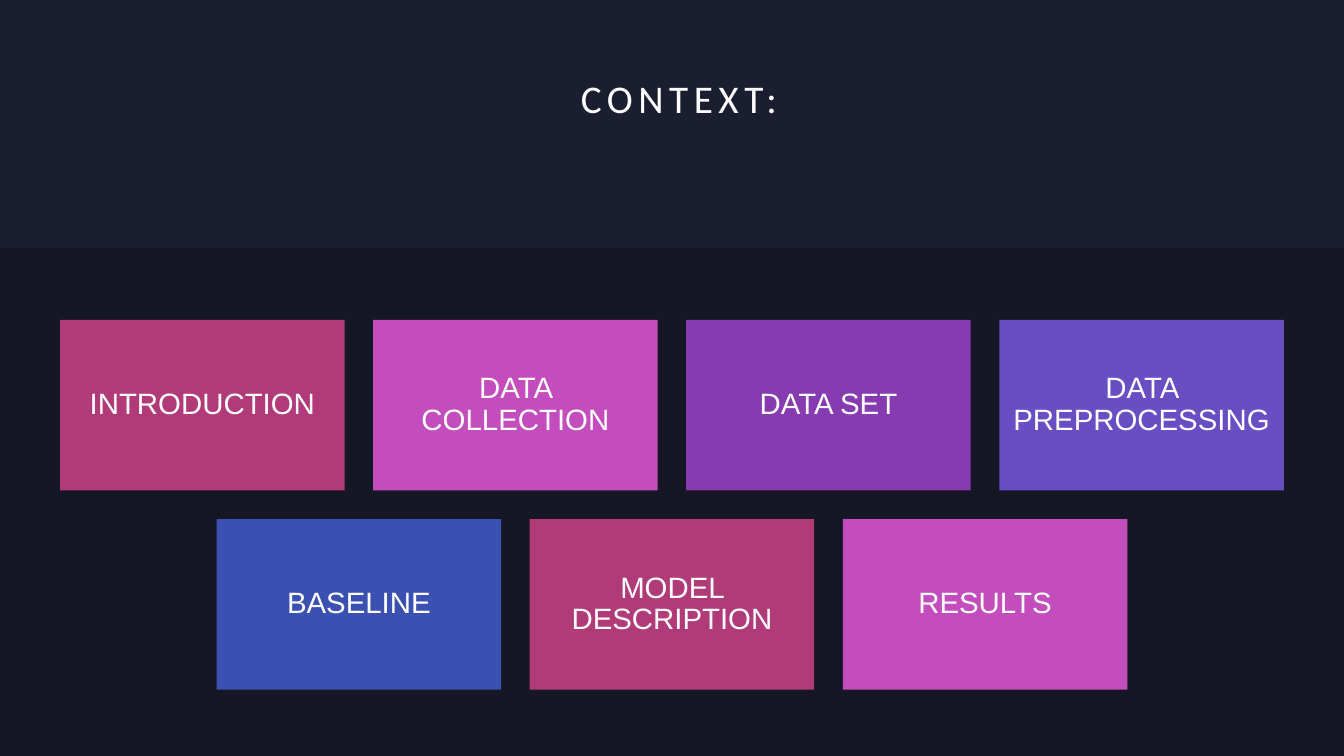
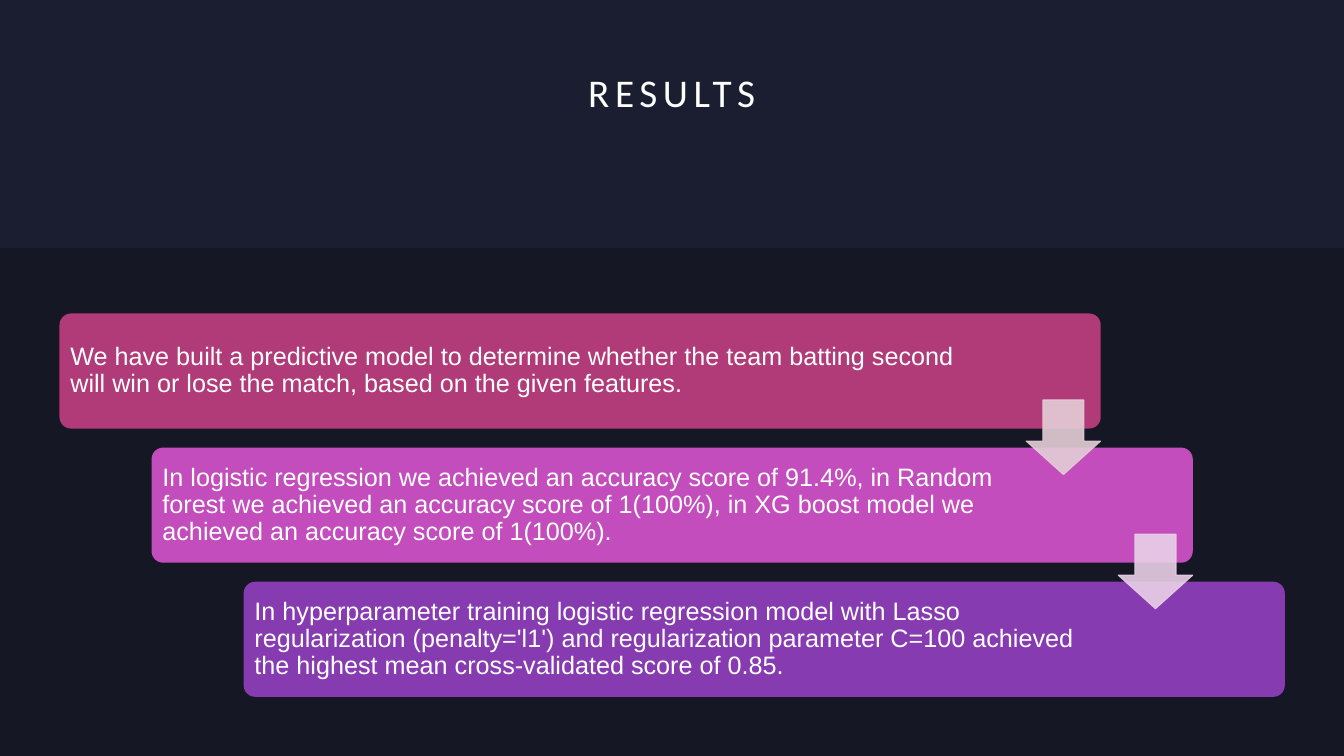
"""Build a two-slide dark deck: a tile overview and a staircase of results."""
from dataclasses import dataclass

from lxml import etree
from pptx import Presentation
from pptx import util as u
from pptx.dml.color import RGBColor
from pptx.enum import shapes, text
from pptx.oxml.ns import qn

WIDE, HIGH = 33.87, 19.05


@dataclass(frozen=True)
class Theme:
    back: str = "1B1D31"
    panel: str = "161724"
    ink: str = "FFFFFF"
    fills: tuple = ("B13B79", "C34DBC", "873BB1", "684DC3", "3B51B1")
    tints: tuple = ("E4CED7", "E9D0E7")
    head: str = "Calibri"
    body: str = "Arial"
    title: int = 28
    tile: int = 21
    bar: int = 18


class Deck:
    def __init__(self, theme):
        self.theme = theme
        self.prs = Presentation()
        self.prs.slide_width, self.prs.slide_height = u.Cm(WIDE), u.Cm(HIGH)
        self.paint(self.prs.slide_master.background.fill, theme.back)

    def paint(self, fill, color):
        fill.solid()
        fill.fore_color.rgb = RGBColor.from_string(color)

    def label(self, shape, words, face, size, align, pads):
        frame = shape.text_frame
        frame.text = words
        frame.word_wrap = True
        frame.auto_size = text.MSO_AUTO_SIZE.NONE
        frame.vertical_anchor = text.MSO_ANCHOR.MIDDLE
        (frame.margin_left, frame.margin_top,
         frame.margin_right, frame.margin_bottom) = map(u.Cm, pads)
        para = frame.paragraphs[0]
        para.alignment = align
        para.font.name, para.font.size = face, u.Pt(size)
        para.font.color.rgb = RGBColor.from_string(self.theme.ink)
        return para

    def slide(self, title, left, top):
        self.page = self.prs.slides.add_slide(self.prs.slide_layouts[5])
        head = self.page.shapes.title
        head.left, head.top = u.Cm(left), u.Cm(top)
        head.width, head.height = u.Cm(27.86), u.Cm(3.12)
        para = self.label(head, title, self.theme.head, self.theme.title,
                          text.PP_ALIGN.CENTER, (0, 0, 0, 1.2))
        para._p.pPr.find(qn("a:defRPr")).set("spc", "400")
        self.block("RECTANGLE", (0, 6.25, WIDE, HIGH - 6.25), self.theme.panel)

    def block(self, kind, box, color):
        shape = self.page.shapes.add_shape(
            shapes.MSO_SHAPE[kind], *map(u.Cm, box))
        shape.shadow.inherit = False
        self.paint(shape.fill, color)
        shape.line.fill.background()
        return shape

    def tile(self, words, box, color):
        shape = self.block("RECTANGLE", box, color)
        para = self.label(shape, words, self.theme.body, self.theme.tile,
                          text.PP_ALIGN.CENTER, (0.23,) * 4)
        para.line_spacing = 0.9

    def bar(self, words, box, color, right):
        shape = self.block("ROUNDED_RECTANGLE", box, color)
        shape.adjustments[0] = 0.1
        para = self.label(shape, words, self.theme.body, self.theme.bar,
                          text.PP_ALIGN.LEFT, (0.19, 0.19, right, 0.19))
        para.line_spacing = 0.9

    def arrow(self, box, color):
        shape = self.block("DOWN_ARROW", box, color)
        shape.adjustments[0], shape.adjustments[1] = 0.55, 0.45
        self.paint(shape.line.fill, color)
        shape.line.width = u.Pt(0.75)
        for tone in shape._element.spPr.iter(qn("a:srgbClr")):
            etree.SubElement(tone, qn("a:alpha")).set("val", "90000")


def context(deck):
    deck.slide("CONTEXT:", 3.18, 1.5)
    rows = (("INTRODUCTION", "DATA COLLECTION", "DATA SET", "DATA PREPROCESSING"),
            ("BASELINE", "MODEL DESCRIPTION", "RESULTS"))
    wide, high, gap, top = 7.17, 4.3, 0.72, 8.06
    fills = deck.theme.fills
    count = 0
    for row, names in enumerate(rows):
        left = (WIDE - len(names) * (wide + gap) + gap) / 2
        for col, name in enumerate(names):
            box = (left + col * (wide + gap), top + row * (high + gap), wide, high)
            deck.tile(name, box, fills[count % len(fills)])
            count += 1


def results(deck):
    deck.slide("RESULTS", 3, 1.35)
    steps = (
        ("We have built a predictive model to determine whether the team batting "
         "second will win or lose the match, based on the given features.", 3.12),
        ("In logistic regression we achieved an accuracy score of 91.4%, in Random "
         "forest we achieved an accuracy score of 1(100%), in XG boost model "
         "we achieved an accuracy score of 1(100%).", 4.37),
        ("In hyperparameter training logistic regression model with Lasso "
         "regularization (penalty='l1') and regularization parameter C=100 achieved "
         "the highest mean cross-validated score of 0.85.", 4.37),
    )
    wide, high, side = 26.24, 2.9, 1.88
    spots = [(1.5 + 2.32 * i, 7.9 + 3.38 * i) for i in range(len(steps))]
    for (words, right), (left, top), color in zip(steps, spots, deck.theme.fills):
        deck.bar(words, (left, top, wide, high), color, right)
    for (left, top), color in zip(spots, deck.theme.tints):
        deck.arrow((left + wide - side, top + 2.18, side, side), color)


def main():
    deck = Deck(Theme())
    context(deck)
    results(deck)
    deck.prs.save("out.pptx")


if __name__ == "__main__":
    main()
